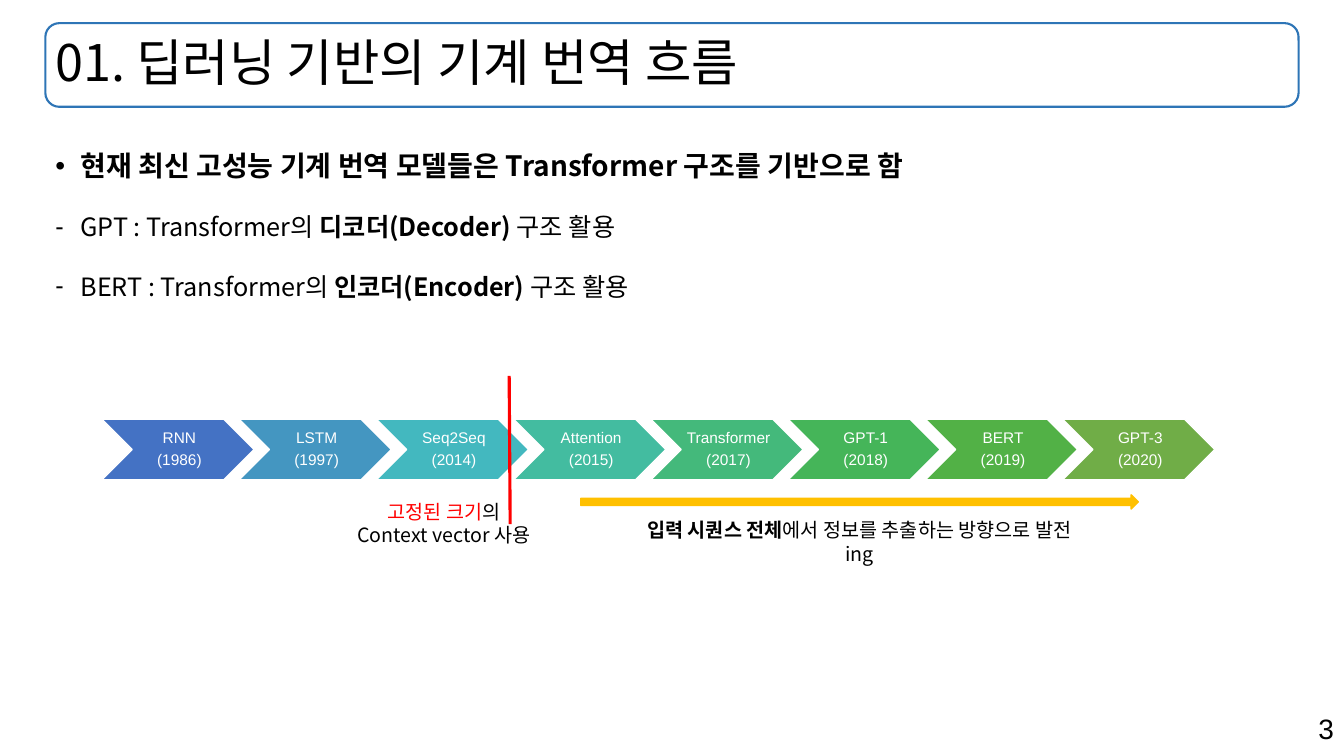
from dataclasses import dataclass

from lxml.etree import SubElement
from pptx import Presentation
from pptx.dml.color import RGBColor
from pptx.enum.shapes import MSO_CONNECTOR, MSO_SHAPE
from pptx.enum.text import MSO_ANCHOR, PP_ALIGN
from pptx.oxml.ns import qn
from pptx.util import Inches, Pt


@dataclass(frozen=True)
class Theme:
    korean: str = "Noto Sans CJK KR"
    latin: str = "Arial"
    ink: str = "000000"
    paper: str = "FFFFFF"
    frame: str = "2E75B6"
    alert: str = "FF0000"
    progress: str = "FFC000"
    title: int = 36
    lead: int = 20
    body: int = 18
    note: int = 14
    label: int = 11


THEME = Theme()

MILESTONES = [
    ("RNN", "(1986)", "4472C4"),
    ("LSTM", "(1997)", "4496C1"),
    ("Seq2Seq", "(2014)", "43B8BF"),
    ("Attention", "(2015)", "43BCA0"),
    ("Transformer", "(2017)", "44B97B"),
    ("GPT-1", "(2018)", "45B559"),
    ("BERT", "(2019)", "52B146"),
    ("GPT-3", "(2020)", "70AD47"),
]


def write(frame, runs, *, size, font=THEME.korean, color=THEME.ink,
          align=PP_ALIGN.LEFT, spacing=1.0, before=0, after=0, bullet=None):
    paragraph = frame.paragraphs[0]
    if paragraph.runs:
        paragraph = frame.add_paragraph()
        paragraph.space_before = Pt(before)
    paragraph.alignment = align
    paragraph.line_spacing = spacing
    paragraph.space_after = Pt(after)
    if bullet:
        properties = paragraph._p.get_or_add_pPr()
        properties.set("marL", str(Inches(0.25)))
        properties.set("indent", str(-Inches(0.25)))
        SubElement(properties, qn("a:buFont")).set("typeface", THEME.latin)
        SubElement(properties, qn("a:buChar")).set("char", bullet)
    for text, *style in runs:
        run = paragraph.add_run()
        run.text = text
        run.font.name = font
        run.font.size = Pt(size)
        run.font.bold = "bold" in style
        run.font.color.rgb = RGBColor.from_string(
            THEME.alert if "alert" in style else color)
        SubElement(run._r.get_or_add_rPr(), qn("a:ea")).set("typeface", font)


def add_text_area(slide, left, top, width, height, anchor=MSO_ANCHOR.TOP):
    frame = slide.shapes.add_textbox(
        Inches(left), Inches(top), Inches(width), Inches(height)).text_frame
    frame.word_wrap = True
    frame.vertical_anchor = anchor
    return frame


def add_outline(slide, kind, left, top, width, height, *, line, weight=1, fill=None):
    shape = slide.shapes.add_shape(
        kind, Inches(left), Inches(top), Inches(width), Inches(height))
    shape.shadow.inherit = False
    if fill:
        shape.fill.solid()
        shape.fill.fore_color.rgb = RGBColor.from_string(fill)
    else:
        shape.fill.background()
    shape.line.color.rgb = RGBColor.from_string(line)
    shape.line.width = Pt(weight)
    return shape


def add_header(slide, left, top, width, height):
    add_outline(slide, MSO_SHAPE.ROUNDED_RECTANGLE, left, top, width, height,
                line=THEME.frame, weight=1.5)
    heading = add_text_area(slide, left, top, width, height, MSO_ANCHOR.MIDDLE)
    write(heading, [("01. 딥러닝 기반의 기계 번역 흐름",)],
          size=THEME.title, spacing=0.9)


def add_summary(slide, left, top, width, height):
    summary = add_text_area(slide, left, top, width, height)
    write(summary,
          [("현재 최신 고성능 기계 번역 모델들은 Transformer 구조를 기반으로 함", "bold")],
          size=THEME.lead, spacing=1.5, bullet="•")
    for model, part in (("GPT", "디코더(Decoder) "), ("BERT", "인코더(Encoder) ")):
        write(summary,
              [(f"{model} : Transformer의 ",), (part, "bold"), ("구조 활용",)],
              size=THEME.body, spacing=1.5, before=10, bullet="-")


def add_timeline(slide, left, top, width, height):
    chevron_width = 1.51
    step = (width - chevron_width) / (len(MILESTONES) - 1)
    for index, (name, year, fill) in enumerate(MILESTONES):
        chevron = add_outline(slide, MSO_SHAPE.CHEVRON, left + index * step, top,
                              chevron_width, height, line=THEME.paper, fill=fill)
        label = chevron.text_frame
        label.word_wrap = False
        label.vertical_anchor = MSO_ANCHOR.MIDDLE
        label.margin_left = Inches(0.05)
        label.margin_top = label.margin_right = label.margin_bottom = Inches(0.02)
        for line in (name, year):
            write(label, [(line,)], size=THEME.label, font=THEME.latin,
                  color=THEME.paper, align=PP_ALIGN.CENTER, spacing=0.9, after=4)

    divider = slide.shapes.add_connector(
        MSO_CONNECTOR.STRAIGHT, Inches(left + 4.04), Inches(top - 0.43),
        Inches(left + 4.05), Inches(top + 1.04))
    divider.line.color.rgb = RGBColor.from_string(THEME.alert)
    divider.line.width = Pt(2.25)
    SubElement(divider._element.spPr, qn("a:effectLst"))

    limitation = add_text_area(slide, left + 2.42, top + 0.75, 1.95, 0.57)
    for runs in ([("고정된 크기", "alert"), ("의",)], [("Context vector 사용",)]):
        write(limitation, runs, size=THEME.note, align=PP_ALIGN.CENTER)

    add_outline(slide, MSO_SHAPE.RIGHT_ARROW, left + 4.75, top + 0.75, 5.53, 0.14,
                line=THEME.progress, fill=THEME.progress)
    direction = add_text_area(slide, left + 5.25, top + 0.93, 4.53, 0.34)
    write(direction,
          [("입력 시퀀스 전체", "bold"), ("에서 정보를 추출하는 방향으로 발전 ing",)],
          size=THEME.note, align=PP_ALIGN.CENTER)


def add_page_number(slide, left, top, width, height):
    number = add_text_area(slide, left, top, width, height)
    write(number, [("3",)], size=THEME.lead, font=THEME.latin, align=PP_ALIGN.RIGHT)


def main():
    deck = Presentation()
    deck.slide_width = Inches(13.33)
    deck.slide_height = Inches(7.5)
    slide = deck.slides.add_slide(deck.slide_layouts[6])
    add_page_number(slide, 9.43, 7.01, 3.9, 0.44)
    add_header(slide, 0.45, 0.23, 12.43, 0.83)
    add_summary(slide, 0.45, 1.26, 12.43, 5.53)
    add_timeline(slide, 1.01, 4.16, 11.04, 0.6)
    deck.save("out.pptx")


if __name__ == "__main__":
    main()
